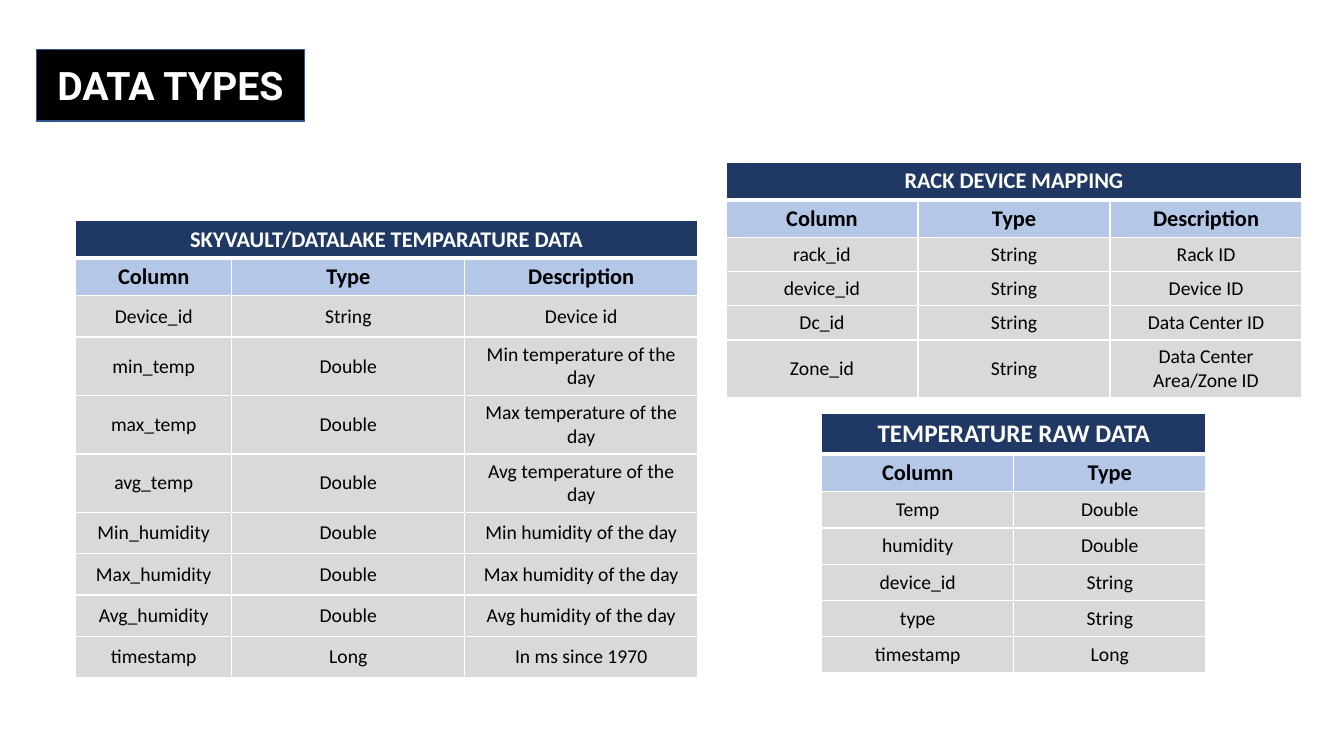
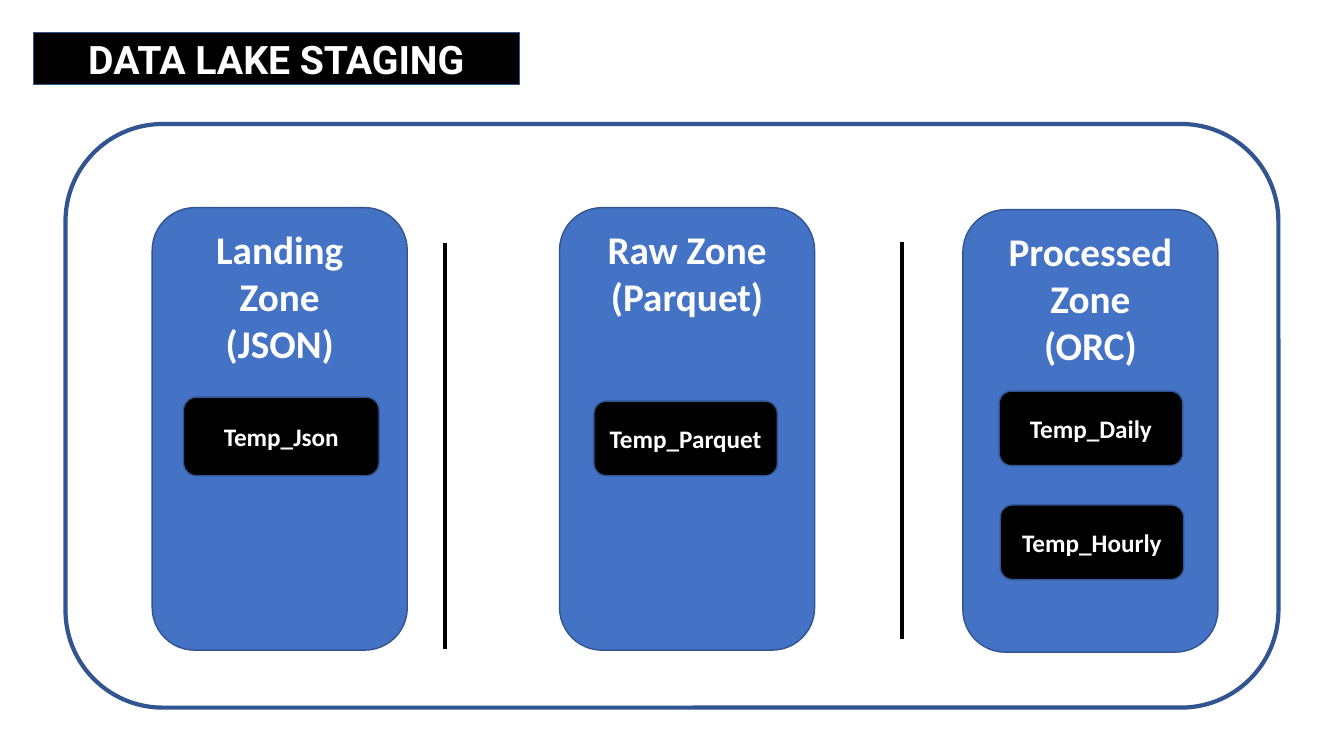
"""Build two slides: the data types of the tables and the data lake stages."""
from dataclasses import dataclass

from lxml import etree
from pptx import Presentation
from pptx import util as u
from pptx.dml import color
from pptx.enum import shapes, text
from pptx.oxml import ns

BLACK, WHITE, NAVY, EDGE = "000000", "FFFFFF", "203864", "325491"
BLUE, PALE, GREY = "4472C4", "B4C7E7", "D9D9D9"
RECT = shapes.MSO_SHAPE.RECTANGLE
ROUND = shapes.MSO_SHAPE.ROUNDED_RECTANGLE
MID, TOP = text.MSO_ANCHOR.MIDDLE, text.MSO_ANCHOR.TOP
HEADS = ["Column", "Type", "Description"]


@dataclass
class Box:
    left: float
    top: float
    width: float
    height: float
    label: str = ""
    fill: str | None = BLACK
    size: int = 18
    font: str = "Calibri"
    anchor: text.MSO_ANCHOR = MID
    kind: shapes.MSO_SHAPE = ROUND
    weight: float = 1


@dataclass
class Grid:
    left: float
    top: float
    widths: list[float]
    heights: list[float]
    title: str
    rows: list[list[str]]
    size: int = 16


@dataclass
class Zone:
    left: float
    top: float
    label: str
    items: list[Box]


def hue(code: str) -> color.RGBColor:
    return color.RGBColor.from_string(code)


def write(frame, label: str, size: int, shade: str, bold: bool = True,
          font: str = "Calibri") -> None:
    frame.text = label
    for para in frame.paragraphs:
        para.alignment = text.PP_ALIGN.CENTER
        for run in para.runs:
            run.font.name, run.font.size = font, u.Pt(size)
            run.font.bold, run.font.color.rgb = bold, hue(shade)


def draw_box(slide, box: Box) -> None:
    shape = slide.shapes.add_shape(
        box.kind, *map(u.Inches, (box.left, box.top, box.width, box.height)))
    shape.shadow.inherit = False
    if box.fill:
        shape.fill.solid()
        shape.fill.fore_color.rgb = hue(box.fill)
    else:
        shape.fill.background()
    shape.line.color.rgb, shape.line.width = hue(EDGE), u.Pt(box.weight)
    if box.label:
        shape.text_frame.word_wrap = True
        shape.text_frame.vertical_anchor = box.anchor
        write(shape.text_frame, box.label, box.size, WHITE, font=box.font)


def draw_title(slide, left: float, top: float, width: float, height: float,
               label: str) -> None:
    draw_box(slide, Box(left, top, width, height, label, size=28,
                        font="Roboto", kind=RECT))


def draw_rule(slide, left: float, top: float, end: float) -> None:
    line = slide.shapes.add_connector(
        shapes.MSO_CONNECTOR.STRAIGHT, *map(u.Inches, (left, top, left, end)))
    line.line.color.rgb, line.line.width = hue(BLACK), u.Pt(3)
    etree.SubElement(line._element.spPr, ns.qn("a:effectLst"))


def edge_cell(cell, row: int) -> None:
    props = cell._tc.get_or_add_tcPr()
    wide = {(0, "B"), (1, "T")}
    for side in "LRTB":
        width = u.Pt(3 if (row, side) in wide else 1)
        line = etree.SubElement(props, ns.qn(f"a:ln{side}"), w=str(int(width)))
        fill = etree.SubElement(line, ns.qn("a:solidFill"))
        etree.SubElement(fill, ns.qn("a:srgbClr"), val=WHITE)


def draw_grid(slide, grid: Grid) -> None:
    count = len(grid.widths)
    rows = [[grid.title] + [""] * (count - 1), HEADS[:count], *grid.rows]
    table = slide.shapes.add_table(
        len(rows), count, *map(u.Inches, (grid.left, grid.top, sum(grid.widths),
                                          sum(grid.heights)))).table
    table.first_row = table.horz_banding = False
    for col, width in zip(table.columns, grid.widths):
        col.width = u.Inches(width)
    for row, height in zip(table.rows, grid.heights):
        row.height = u.Inches(height)
    looks = [(NAVY, grid.size, WHITE, True), (PALE, 16, BLACK, True)]
    for r, words in enumerate(rows):
        fill, size, shade, bold = looks[r] if r < 2 else (GREY, 14, BLACK, False)
        for c, word in enumerate(words):
            cell = table.cell(r, c)
            edge_cell(cell, r)
            cell.fill.solid()
            cell.fill.fore_color.rgb = hue(fill)
            cell.vertical_anchor = MID
            write(cell.text_frame, word, size, shade, bold)
    table.cell(0, 0).merge(table.cell(0, count - 1))


def draw_zone(slide, zone: Zone) -> None:
    draw_box(slide, Box(zone.left, zone.top, 2.53, 4.39, zone.label, BLUE, 28,
                        anchor=TOP))
    for item in zone.items:
        draw_box(slide, item)


STATS = [[f"{key}_{part}", "Double", f"{key.title()} {name} of the day"]
         for keys, part, name in ((("min", "max", "avg"), "temp", "temperature"),
                                  (("Min", "Max", "Avg"), "humidity", "humidity"))
         for key in keys]
GRIDS = [
    Grid(7.2, 1.61, [1.905] * 3, [0.37] * 2 + [0.34] * 3 + [0.57],
         "RACK DEVICE MAPPING",
         [["rack_id", "String", "Rack ID"],
          ["device_id", "String", "Device ID"],
          ["Dc_id", "String", "Data Center ID"],
          ["Zone_id", "String", "Data Center Area/Zone ID"]]),
    Grid(0.75, 2.19, [1.55, 2.31, 2.31],
         [0.37] * 2 + [0.41] + [0.58] * 3 + [0.41] * 4,
         "SKYVAULT/DATALAKE TEMPARATURE DATA",
         [["Device_id", "String", "Device id"], *STATS,
          ["timestamp", "Long", "In ms since 1970"]]),
    Grid(8.15, 4.1, [1.905] * 2, [0.4] + [0.36] * 6, "TEMPERATURE RAW DATA",
         [["Temp", "Double"], ["humidity", "Double"], ["device_id", "String"],
          ["type", "String"], ["timestamp", "Long"]], 18),
]
ZONES = [
    Zone(1.51, 2.06, "Landing Zone\v(JSON)",
         [Box(1.82, 3.94, 1.94, 0.78, "Temp_Json")]),
    Zone(5.55, 2.06, "Raw Zone\v(Parquet)",
         [Box(5.89, 3.98, 1.82, 0.74, "Temp_Parquet")]),
    Zone(9.55, 2.08, "Processed Zone\v(ORC)",
         [Box(9.92, 5.01, 1.82, 0.74, "Temp_Hourly"),
          Box(9.91, 3.88, 1.82, 0.74, "Temp_Daily")]),
]


def main() -> None:
    deck = Presentation()
    deck.slide_width, deck.slide_height = u.Inches(13.33), u.Inches(7.5)
    blank = deck.slide_layouts[6]

    types = deck.slides.add_slide(blank)
    draw_title(types, 0.36, 0.49, 2.66, 0.71, "DATA TYPES")
    for grid in GRIDS:
        draw_grid(types, grid)

    lake = deck.slides.add_slide(blank)
    draw_title(lake, 0.33, 0.32, 4.82, 0.52, "DATA LAKE STAGING")
    draw_box(lake, Box(0.65, 1.23, 12.03, 5.79, fill=None, weight=3))
    draw_rule(lake, 4.41, 2.41, 6.44)
    draw_rule(lake, 8.95, 2.4, 6.34)
    for zone in ZONES:
        draw_zone(lake, zone)
    deck.save("out.pptx")


if __name__ == "__main__":
    main()
